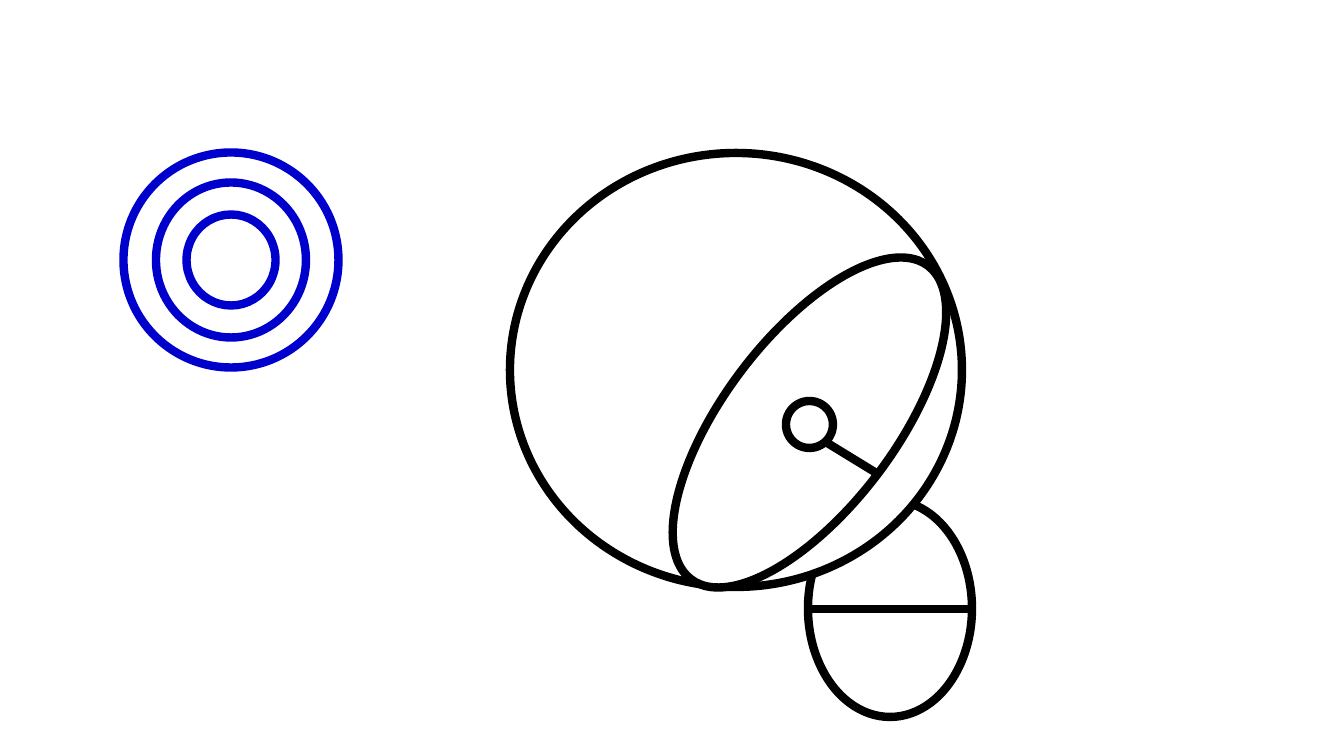
from pptx import Presentation, util as u
from pptx.dml.color import RGBColor
from pptx.enum import shapes
from pptx.oxml.ns import qn
from lxml import etree

WHITE = RGBColor(0xFF, 0xFF, 0xFF)
BLACK = RGBColor(0, 0, 0)
BLUE = RGBColor(0, 0, 0xCC)


def px(n):
    return u.Emu(round(n * 914400 / 100.8))


def add_outline(parent, kind, box, color):
    """Add an ellipse (left, top, width, height) or a line (x1, y1, x2, y2)."""
    lengths = [px(n) for n in box]
    if kind == "ellipse":
        part = parent.add_shape(shapes.MSO_SHAPE.OVAL, *lengths)
        part.shadow.inherit = False
        part.fill.solid()
        part.fill.fore_color.rgb = WHITE
    else:
        part = parent.add_connector(shapes.MSO_CONNECTOR.STRAIGHT, *lengths)
    part.line.color.rgb = color
    part.line.width = u.Pt(6)
    if kind == "line":
        etree.SubElement(part._element.spPr, qn("a:effectLst"))
    return part


prs = Presentation()
prs.slide_width, prs.slide_height = px(1344), px(756)
slide = prs.slides.add_slide(prs.slide_layouts[6])

# Satellite dish, from back to front
dish = slide.shapes.add_group_shape().shapes
add_outline(dish, "ellipse", (808, 500, 164, 217), BLACK)
add_outline(dish, "line", (808, 609, 973, 609), BLACK)
add_outline(dish, "ellipse", (510, 153, 452, 434), BLACK)
rim = add_outline(dish, "ellipse", (613, 337, 393, 171), BLACK)
rim.rotation = 307.1
add_outline(dish, "line", (878, 474, 793, 422), BLACK)
add_outline(dish, "ellipse", (786, 401, 47, 47), BLACK)

# Signal source: concentric rings, outermost first
ring_x, ring_y = 231, 260
for width, height in ((215, 215), (150, 155), (89, 91)):
    add_outline(slide.shapes, "ellipse",
                (ring_x - width / 2, ring_y - height / 2, width, height), BLUE)

prs.save("out.pptx")
